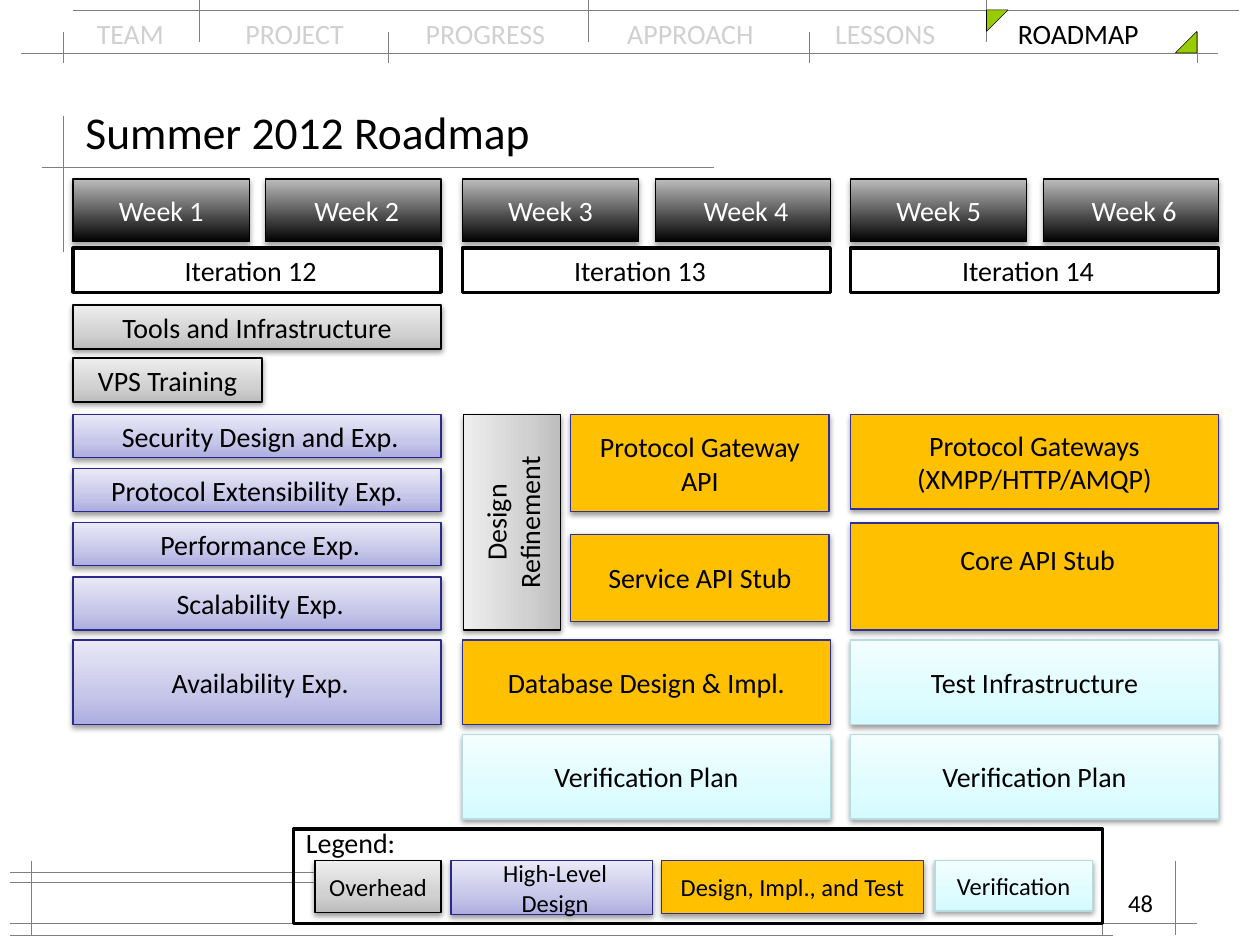
from lxml import etree
from copy import deepcopy
from pptx import Presentation
from pptx.dml.color import RGBColor
from pptx.enum.shapes import MSO_CONNECTOR, MSO_SHAPE
from pptx.enum.text import MSO_ANCHOR, PP_ALIGN
from pptx.oxml import parse_xml
from pptx.oxml.ns import nsdecls, qn
from pptx.util import Inches, Pt

COLORS = {
    "black": "000000", "white": "FFFFFF", "guide": "808080",
    "inactive": "D0D0D0", "corner": "99CC00",
}
# Each style: gradient stops from bottom to top (or one solid colour), and outline
STYLES = {
    "week": ([(0, "000000"), (1, "BDBDBD")], "000000"),
    "overhead": ([(0, "BDBDBD"), (0.65, "D1D1D1"), (1, "EEEEEE")], "000000"),
    "design": ([(0, "ADADE1"), (0.35, "C6C6E9"), (1, "E9E9F7")], "2A2A89"),
    "build": ([(0, "FFC000")], "2F2F98"),
    "verify": ([(0, "D3FBFF"), (0.35, "DFFCFF"), (1, "F2FEFF")], "B6DCDF"),
    "iteration": ([(0, "FFFFFF")], "000000"),
    "frame": ([], "000000"),
}
STYLES["overhead"][0][1] = (0.35, "D1D1D1")
COLUMNS = [0.58, 3.67, 6.75]
COLUMN_WIDTH = 2.92

presentation = Presentation()
presentation.slide_width = Inches(10)
presentation.slide_height = Inches(7.5)
slide = presentation.slides.add_slide(presentation.slide_layouts[6])


def add_label(left, top, width, height, text, size, anchor=MSO_ANCHOR.TOP):
    """Add a plain text box and return it."""
    label = slide.shapes.add_textbox(Inches(left), Inches(top), Inches(width), Inches(height))
    frame = label.text_frame
    frame.word_wrap = True
    frame.vertical_anchor = anchor
    frame.text = text
    font = frame.paragraphs[0].runs[0].font
    font.name, font.size = "Calibri", Pt(size)
    font.color.rgb = RGBColor.from_string(COLORS["black"])
    return label


def add_block(left, top, width, height, text, style, size=16, shift=0):
    """Add a styled rectangle; shift widens the left (+) or right (-) inset."""
    block = slide.shapes.add_shape(
        MSO_SHAPE.RECTANGLE, Inches(left), Inches(top), Inches(width), Inches(height))
    stops, outline = STYLES[style]
    flat = style in ("iteration", "frame")
    if len(stops) > 1:
        block.fill.gradient()
        block.fill.gradient_angle = 90
        stop_list = block.element.spPr.find(".//" + qn("a:gsLst"))
        for _ in stops[2:]:
            stop_list.insert(1, deepcopy(stop_list[0]))
        for gradient_stop, (position, color) in zip(block.fill.gradient_stops, stops):
            gradient_stop.position = position
            gradient_stop.color.rgb = RGBColor.from_string(color)
    elif stops:
        block.fill.solid()
        block.fill.fore_color.rgb = RGBColor.from_string(stops[0][1])
    else:
        block.fill.background()
    block.line.color.rgb = RGBColor.from_string(outline)
    block.line.width = Pt(2 if flat else 0.75)
    block.shadow.inherit = False
    if not flat:
        distance, alpha = (23000, 35000) if style == "week" else (20000, 38000)
        block.element.spPr.find(qn("a:effectLst")).append(parse_xml(
            f'<a:outerShdw {nsdecls("a")} blurRad="40000" dist="{distance}" dir="5400000" '
            f'rotWithShape="0"><a:srgbClr val="{COLORS["black"]}">'
            f'<a:alpha val="{alpha}"/></a:srgbClr></a:outerShdw>'))
    frame = block.text_frame
    frame.vertical_anchor = MSO_ANCHOR.MIDDLE
    frame.margin_left = Inches(0.1 + max(shift, 0))
    frame.margin_right = Inches(0.1 + max(-shift, 0))
    frame.text = text
    for paragraph in frame.paragraphs:
        paragraph.alignment = PP_ALIGN.CENTER
        for run in paragraph.runs:
            run.font.name, run.font.size = "Calibri", Pt(size)
            run.font.color.rgb = RGBColor.from_string(
                COLORS["white" if style == "week" else "black"])
    return block


# Navigation bar
navigation = add_label(0.67, 0.08, 8.67, 0.37, "TEAM", 16)
paragraph = navigation.text_frame.paragraphs[0]
tab_list = etree.SubElement(paragraph._p.get_or_add_pPr(), qn("a:tabLst"))
for position in (1.18, 2.61, 4.21, 5.86, 7.31):
    etree.SubElement(tab_list, qn("a:tab"), pos=str(Inches(position)), algn="l")
paragraph.text = "TEAM\tPROJECT\tPROGRESS\tAPPROACH\tLESSONS\t"
paragraph.add_run().text = "ROADMAP"
for run, color in zip(paragraph.runs, ("inactive", "black")):
    run.font.name, run.font.size = "Calibri", Pt(16)
    run.font.color.rgb = RGBColor.from_string(COLORS[color])

# Guide lines: (left, right, y) and (x, top, bottom)
horizontals = [(0.17, 9.67, 0.42), (0.58, 9.83, 0.08), (0.33, 5.67, 1.33), (0.08, 3.08, 7),
               (0.08, 9.5, 7.33), (0.08, 2.67, 6.92), (0.08, 8.83, 7.42)]
verticals = [(0.5, 0.92, 2), (0.25, 6.83, 7.42), (9.33, 6.83, 7.42), (8.75, 7.08, 7.42)]
verticals += [(x, 0.25, 0.5) for x in (0.5, 3.08, 6.42, 9.5)]
verticals += [(x, 0, 0.33) for x in (1.58, 4.67, 7.83)]
guides = [(left, y, right, y) for left, right, y in horizontals]
guides += [(x, top, x, bottom) for x, top, bottom in verticals]
for ends in guides:
    guide = slide.shapes.add_connector(MSO_CONNECTOR.STRAIGHT, *map(Inches, ends))
    guide.line.color.rgb = RGBColor.from_string(COLORS["guide"])
    guide.line.width = Pt(0.3)
    etree.SubElement(guide.element.spPr, qn("a:effectLst"))

# Corner marks around the active section
for left, top, flip in ((7.83, 0.08, "flipV"), (9.33, 0.25, "flipH")):
    corner = slide.shapes.add_shape(
        MSO_SHAPE.RIGHT_TRIANGLE, Inches(left), Inches(top), Inches(0.17), Inches(0.17))
    corner.element.spPr.find(qn("a:xfrm")).set(flip, "1")
    corner.fill.solid()
    corner.fill.fore_color.rgb = RGBColor.from_string(COLORS["corner"])
    corner.line.color.rgb = RGBColor.from_string(COLORS["black"])
    corner.line.width = Pt(0.3)
    corner.shadow.inherit = False

add_label(0.58, 0.75, 8.83, 0.58, "Summer 2012 Roadmap", 26, MSO_ANCHOR.MIDDLE)
page_number = add_label(7.17, 7, 2.08, 0.5, "48", 14)
page_number.text_frame.paragraphs[0].alignment = PP_ALIGN.RIGHT

# Weeks and iterations
for index, left in enumerate(COLUMNS):
    add_block(left, 1.42, 1.4, 0.5, f"Week {2 * index + 1}", "week")
    add_block(left + 1.53, 1.42, 1.39, 0.5, f"Week {2 * index + 2}", "week", shift=0.05)
    add_block(left, 1.97, COLUMN_WIDTH, 0.35, f"Iteration {12 + index}", "iteration", shift=-0.1)

# Full-width tasks: column, top, height, text, style, shift
tasks = [
    (0, 2.42, 0.35, "Tools and Infrastructure", "overhead", 0),
    (0, 3.29, 0.34, "Security Design and Exp.", "design", 0.05),
    (0, 3.72, 0.34, "Protocol Extensibility Exp.", "design", 0),
    (0, 4.15, 0.34, "Performance Exp.", "design", 0.05),
    (0, 4.58, 0.42, "Scalability Exp.", "design", 0.05),
    (0, 5.08, 0.67, "Availability Exp.", "design", 0.05),
    (1, 5.08, 0.67, "Database Design & Impl.", "build", 0),
    (1, 5.83, 0.67, "Verification Plan", "verify", 0),
    (2, 3.29, 0.75, "Protocol Gateways\n(XMPP/HTTP/AMQP)", "build", 0),
    (2, 5.08, 0.67, "Test Infrastructure", "verify", 0),
    (2, 5.83, 0.67, "Verification Plan", "verify", 0),
]
for column, top, height, text, style, shift in tasks:
    add_block(COLUMNS[column], top, COLUMN_WIDTH, height, text, style, shift=shift)

# Tasks with their own width or text placement
add_block(0.58, 2.84, 1.5, 0.35, "VPS Training", "overhead")
add_block(4.53, 3.29, 2.05, 0.77, "Protocol Gateway API", "build")
add_block(4.53, 4.24, 2.05, 0.69, "Service API Stub", "build")
add_block(3.21, 3.76, 1.71, 0.77, "Design Refinement", "overhead").rotation = 270
core_stub = add_block(COLUMNS[2], 4.15, COLUMN_WIDTH, 0.85, "Core API Stub", "build", shift=0.05)
core_stub.text_frame.margin_bottom = Inches(0.32)

# Legend
add_block(2.33, 6.58, 6.42, 0.75, "", "frame")
add_label(2.33, 6.5, 0.92, 0.37, "Legend:", 16).text_frame.word_wrap = False
for left, width, height, text, style, shift in (
    (2.5, 1, 0.41, "Overhead", "overhead", 0),
    (3.58, 1.6, 0.43, "High-Level Design", "design", 0.05),
    (5.25, 2.08, 0.42, "Design, Impl., and Test", "build", 0),
    (7.42, 1.25, 0.4, "Verification", "verify", 0),
):
    add_block(left, 6.83, width, height, text, style, 14, shift)

presentation.save("out.pptx")
